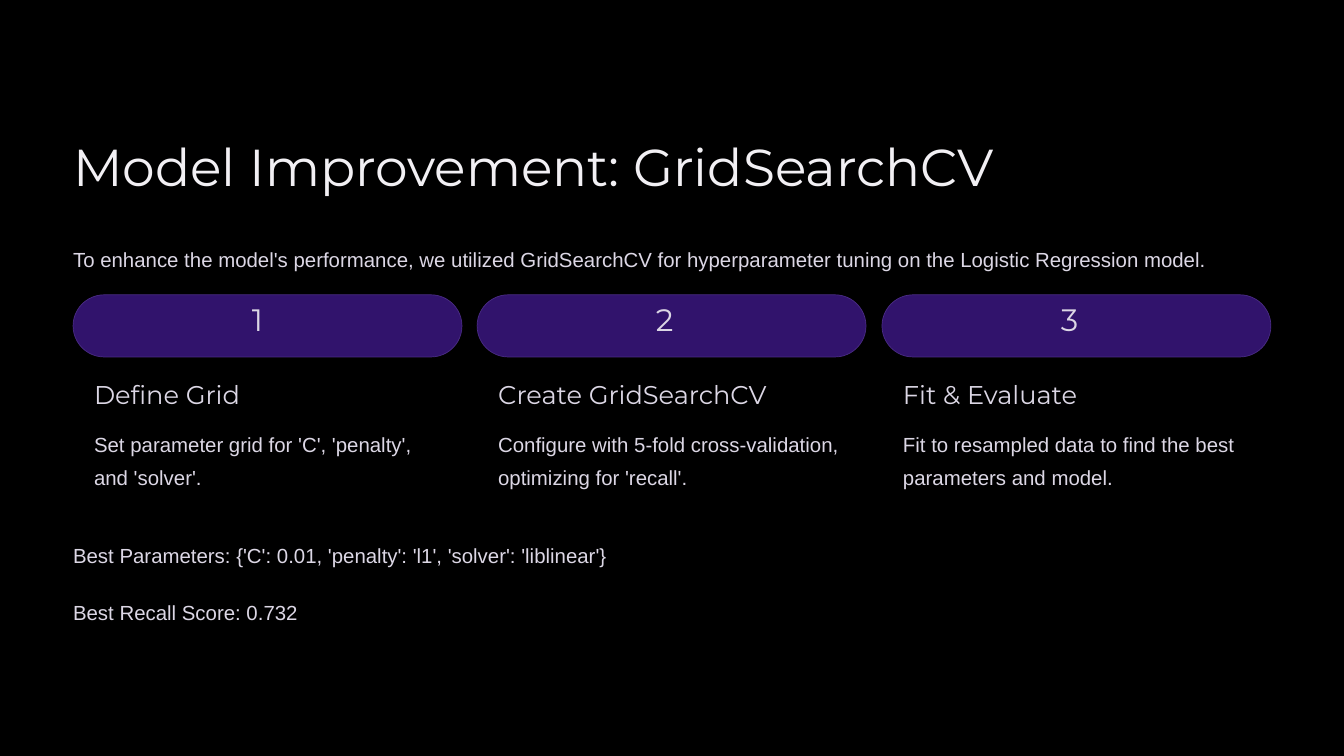
from dataclasses import dataclass

from pptx import Presentation
from pptx.dml.color import RGBColor
from pptx.enum.shapes import MSO_SHAPE
from pptx.enum.text import MSO_ANCHOR, PP_ALIGN
from pptx.util import Emu, Pt

ROUND_RECT = MSO_SHAPE.ROUNDED_RECTANGLE
TOP = MSO_ANCHOR.TOP
LEFT = PP_ALIGN.LEFT
PX = 9144  # 100 px to the inch


@dataclass(frozen=True)
class Theme:
    background: str = "000000"
    title_color: str = "F2F0F4"
    text_color: str = "DCD7E5"
    pill_fill: str = "31136C"
    pill_line: str = "4A2C85"
    pill_line_width: float = 0.6
    heading_font: str = "Montserrat"
    body_font: str = "Arial"
    # Type size and line height in points
    title: tuple = (44.5, 55.5)
    number: tuple = (26.5, 26.5)
    heading: tuple = (22, 27.5)
    body: tuple = (17.5, 28.5)


THEME = Theme()

# Heading, heading width, description
STEPS = [
    ("Define Grid", 310, "Set parameter grid for 'C', 'penalty', and 'solver'."),
    ("Create GridSearchCV", 324,
     "Configure with 5-fold cross-validation, optimizing for 'recall'."),
    ("Fit & Evaluate", 310,
     "Fit to resampled data to find the best parameters and model."),
]
RESULTS = [
    "Best Parameters: {'C': 0.01, 'penalty': 'l1', 'solver': 'liblinear'}",
    "Best Recall Score: 0.732",
]


def place(box):
    return [Emu(length * PX) for length in box]


def rgb(color):
    return RGBColor.from_string(color)


def add_text(page, box, text, style, font=THEME.body_font,
             color=THEME.text_color, wrap=False):
    frame = page.shapes.add_textbox(*place(box)).text_frame
    frame_format = {"margin_left": 0, "margin_top": 0, "margin_right": 0,
                    "margin_bottom": 0, "word_wrap": wrap, "vertical_anchor": TOP}
    for name, value in frame_format.items():
        setattr(frame, name, value)
    size, line_height = style
    para = frame.paragraphs[0]
    para.alignment = LEFT
    para.line_spacing = Pt(line_height)
    span = para.add_run()
    span.text = text
    for name, value in {"name": font, "size": Pt(size)}.items():
        setattr(span.font, name, value)
    span.font.color.rgb = rgb(color)


def add_pill(page, box):
    pill = page.shapes.add_shape(ROUND_RECT, *place(box))
    pill.adjustments[0] = 0.5
    pill.shadow.inherit = False
    pill.fill.solid()
    pill.fill.fore_color.rgb = rgb(THEME.pill_fill)
    pill.line.color.rgb = rgb(THEME.pill_line)
    pill.line.width = Pt(THEME.pill_line_width)


def add_intro(page, box):
    left, top, width, _ = box
    add_text(page, (left, top, 1098, 78), "Model Improvement: GridSearchCV",
             THEME.title, THEME.heading_font, THEME.title_color)
    add_text(page, (left, top + 127, width, 40),
             "To enhance the model's performance, we utilized GridSearchCV for "
             "hyperparameter tuning on the Logistic Regression model.", THEME.body)


def add_step(page, box, number, heading, heading_width, description):
    left, top, width, _ = box
    inset = 25
    add_pill(page, (left, top, width, 74))
    add_text(page, (left + 213, top + 14, 37, 47), str(number),
             THEME.number, THEME.heading_font)
    add_text(page, (left + inset, top + 99, heading_width, 39), heading,
             THEME.heading, THEME.heading_font)
    add_text(page, (left + inset, top + 153, width - 2 * inset, 79), description,
             THEME.body, wrap=True)


def add_steps(page, box):
    left, top, width, height = box
    step_width = 463
    for index, step in enumerate(STEPS):
        offset = index * (width - step_width) // (len(STEPS) - 1)
        add_step(page, (left + offset, top, step_width, height), index + 1, *step)


def add_results(page, box):
    left, top, width, _ = box
    for index, result in enumerate(RESULTS):
        add_text(page, (left, top + index * 68, width, 40), result, THEME.body)


def main():
    deck = Presentation()
    deck.slide_width, deck.slide_height = place((1600, 900))
    page = deck.slides.add_slide(deck.slide_layouts[6])
    page.background.fill.solid()
    page.background.fill.fore_color.rgb = rgb(THEME.background)

    # Title and introduction, three numbered steps, results
    add_intro(page, (87, 157, 1426, 167))
    add_steps(page, (87, 351, 1426, 232))
    add_results(page, (87, 636, 1426, 108))
    deck.save("out.pptx")


if __name__ == "__main__":
    main()
